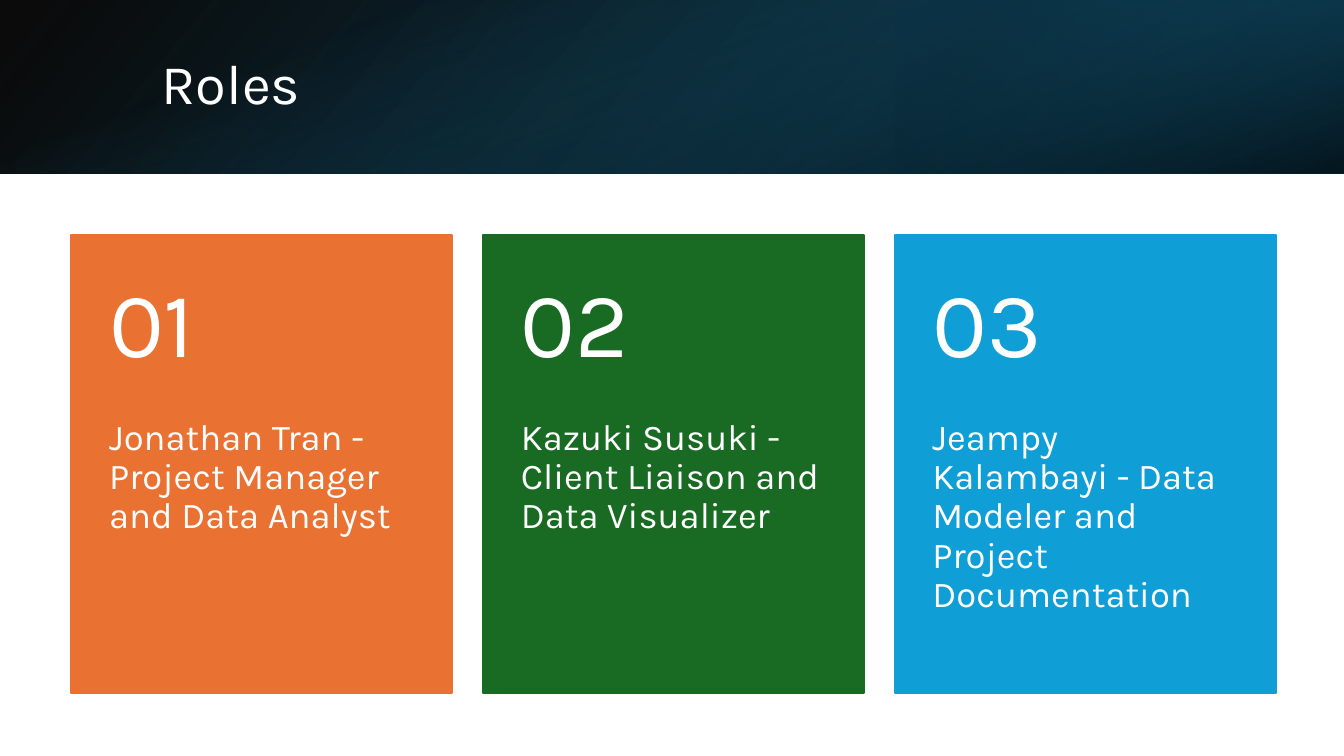
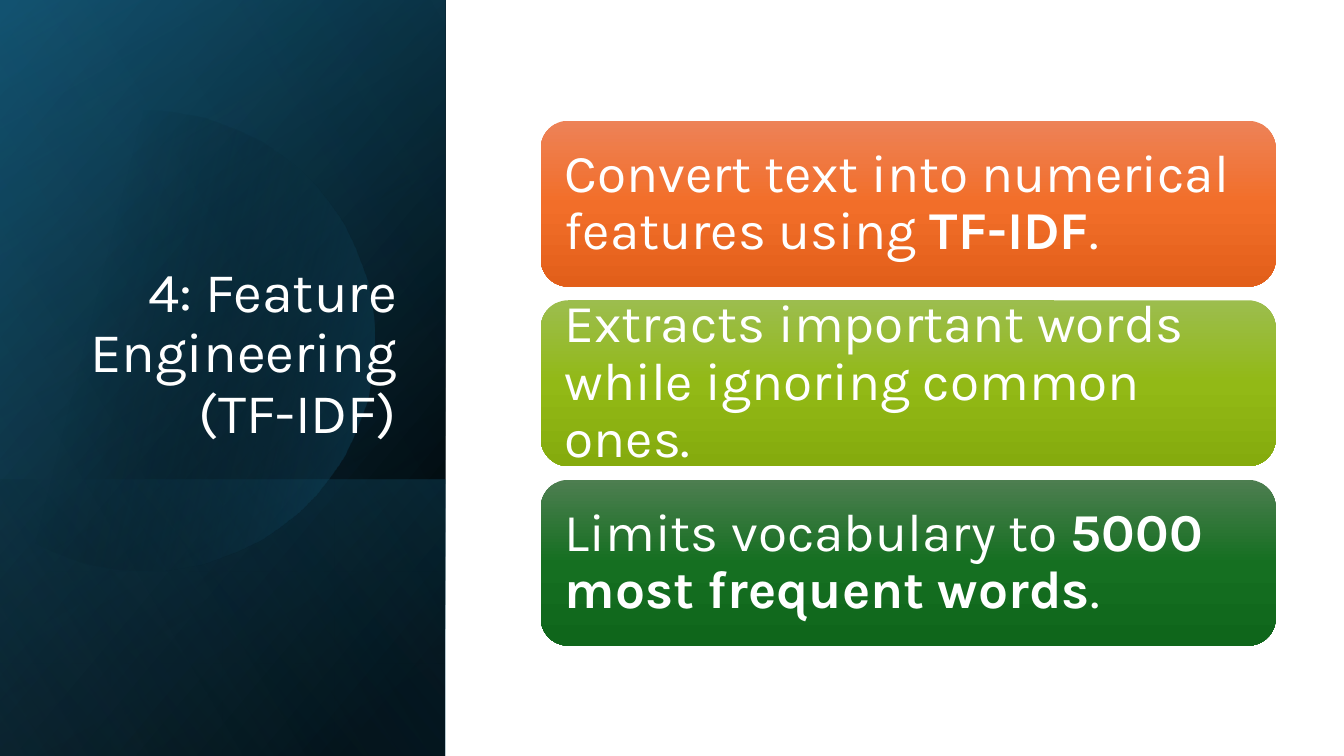
from math import cos, radians, sin

from pptx import Presentation
from pptx.dml.color import RGBColor
from pptx.enum.shapes import MSO_SHAPE
from pptx.enum.text import MSO_ANCHOR, MSO_AUTO_SIZE, PP_ALIGN
from pptx.oxml import parse_xml
from pptx.oxml.ns import nsdecls, qn
from pptx.util import Pt

PX = 9525  # EMU in one px, 96 px to the inch
SLIDE_WIDTH, SLIDE_HEIGHT = 1280, 720
BAND_HEIGHT, SIDEBAR_WIDTH = 165, 424
FONT = "Karla"
TITLE_SIZE = 40

BLACK = RGBColor(0x00, 0x00, 0x00)
WHITE = RGBColor(0xFF, 0xFF, 0xFF)
NAVY = RGBColor(0x10, 0x48, 0x62)
DEEP_TEAL = RGBColor(0x0B, 0x30, 0x41)
TEAL = RGBColor(0x15, 0x60, 0x82)
SKY = RGBColor(0x46, 0xB1, 0xE1)
ORANGE = RGBColor(0xE9, 0x71, 0x32)
GREEN = RGBColor(0x19, 0x6B, 0x24)
BLUE = RGBColor(0x0F, 0x9E, 0xD5)
ORANGE_SHADES = (RGBColor(0xED, 0x82, 0x57), RGBColor(0xF2, 0x6E, 0x29), RGBColor(0xE2, 0x5F, 0x1A))
LIME_SHADES = (RGBColor(0x9C, 0xBD, 0x4E), RGBColor(0x92, 0xB9, 0x16), RGBColor(0x85, 0xAB, 0x0D))
GREEN_SHADES = (RGBColor(0x4D, 0x7E, 0x50), RGBColor(0x15, 0x6F, 0x21), RGBColor(0x0F, 0x66, 0x1B))


def paint_gradient(shape, stops, angle):
    """Fill without outline; stops are (position %, colour, opacity %)."""
    shape.shadow.inherit = False
    shape.line.fill.background()
    shape.fill.background()
    stop_xml = "".join(
        f'<a:gs pos="{position * 1000}"><a:srgbClr val="{color}">'
        f'<a:alpha val="{opacity * 1000}"/></a:srgbClr></a:gs>'
        for position, color, opacity in stops
    )
    gradient = parse_xml(
        f'<a:gradFill {nsdecls("a")} rotWithShape="1"><a:gsLst>{stop_xml}</a:gsLst>'
        f'<a:lin ang="{angle * 60000}" scaled="0"/></a:gradFill>'
    )
    properties = shape._element.spPr
    properties.replace(properties.find(qn("a:noFill")), gradient)


def write_text(shape, runs, size, anchor, insets=(10, 5, 10, 5), alignment=PP_ALIGN.LEFT):
    """Write one white paragraph; runs are (text, bold), insets left, top, right, bottom."""
    frame = shape.text_frame
    frame.word_wrap = True
    frame.auto_size = MSO_AUTO_SIZE.NONE
    frame.vertical_anchor = anchor
    frame.margin_left, frame.margin_top, frame.margin_right, frame.margin_bottom = (
        inset * PX for inset in insets
    )
    paragraph = frame.paragraphs[0]
    paragraph.alignment = alignment
    paragraph.line_spacing = 0.9
    paragraph.font.name = FONT
    paragraph.font.size = Pt(size)
    paragraph.font.color.rgb = WHITE
    for text, bold in runs:
        run = paragraph.add_run()
        run.text = text
        if bold:
            run.font.bold = True


presentation = Presentation()
presentation.slide_width = SLIDE_WIDTH * PX
presentation.slide_height = SLIDE_HEIGHT * PX
title_only = presentation.slide_layouts[5]
roles_slide = presentation.slides.add_slide(title_only)
features_slide = presentation.slides.add_slide(title_only)

# Dark backdrops: slide, box as seen, rotation, flipped, gradient stops, gradient angle
band = (0, 0, SLIDE_WIDTH, BAND_HEIGHT)
band_end = (853, 0, 427, BAND_HEIGHT)
sidebar = (0, 0, SIDEBAR_WIDTH, SLIDE_HEIGHT)
sidebar_foot = (0, 457, SIDEBAR_WIDTH, 263)
backdrops = [
    (roles_slide, band, 0, True, [(0, BLACK, 96), (100, NAVY, 100)], 140),
    (roles_slide, band_end, 180, True, [(19, DEEP_TEAL, 68), (100, TEAL, 79)], 320),
    (roles_slide, band, 90, False, [(23, TEAL, 0), (99, BLACK, 74)], 340),
    (features_slide, sidebar, 90, True, [(8, BLACK, 100), (100, NAVY, 100)], 50),
    (features_slide, sidebar, 90, True, [(0, BLACK, 0), (99, TEAL, 46)], 30),
    (features_slide, sidebar_foot, 90, True, [(2, TEAL, 29), (100, BLACK, 30)], 130),
    (features_slide, sidebar, 90, True, [(0, BLACK, 0), (99, SKY, 11)], 120),
]
for slide, box, rotation, flipped, stops, angle in backdrops:
    left, top, width, height = (length * PX for length in box)
    if rotation == 90:  # the frame before a quarter turn about the same centre
        left, top = left + (width - height) // 2, top + (height - width) // 2
        width, height = height, width
    panel = slide.shapes.add_shape(MSO_SHAPE.RECTANGLE, left, top, width, height)
    panel.rotation = rotation
    if flipped:
        panel._element.spPr.xfrm.set("flipH", "1")
    paint_gradient(panel, stops, angle)

# Glowing disc, cut off at the slide's left edge
center_x, center_y, radius = 138, 324, 219
disc_points = [
    (max(0, center_x + radius * cos(radians(degree))), center_y + radius * sin(radians(degree)))
    for degree in range(0, 360, 3)
]
outline = features_slide.shapes.build_freeform(*disc_points[0], scale=PX)
outline.add_line_segments(disc_points[1:], close=True)
paint_gradient(outline.convert_to_shape(), [(29, BLACK, 0), (100, TEAL, 43)], 14)

# Titles, brought in front of the backdrops
titles = [
    (roles_slide, "Roles", (144, 36, 1054, 92), MSO_ANCHOR.MIDDLE, PP_ALIGN.LEFT),
    (features_slide, "4: Feature Engineering (TF-IDF)", (61, 177, 327, 252),
     MSO_ANCHOR.BOTTOM, PP_ALIGN.RIGHT),
]
for slide, text, box, anchor, alignment in titles:
    title = slide.shapes.title
    title.left, title.top, title.width, title.height = (length * PX for length in box)
    write_text(title, [(text, False)], TITLE_SIZE, anchor, alignment=alignment)
    slide.shapes._spTree.append(title._element)

# Role cards
CARD_LEFT, CARD_TOP, CARD_WIDTH, CARD_HEIGHT, CARD_PITCH = 68, 224, 363, 436, 392
NUMBER_HEIGHT = 175
roles = [
    ("Jonathan Tran - Project Manager and Data Analyst", ORANGE),
    ("Kazuki Susuki - Client Liaison and Data Visualizer", GREEN),
    ("Jeampy Kalambayi - Data Modeler and Project Documentation", BLUE),
]
for index, (role, color) in enumerate(roles):
    left = (CARD_LEFT + index * CARD_PITCH) * PX
    card = roles_slide.shapes.add_shape(
        MSO_SHAPE.RECTANGLE, left, CARD_TOP * PX, CARD_WIDTH * PX, CARD_HEIGHT * PX
    )
    card.shadow.inherit = False
    card.fill.solid()
    card.fill.fore_color.rgb = color
    card.line.color.rgb = color
    card.line.width = Pt(1.5)
    card_texts = [
        (role, CARD_TOP + NUMBER_HEIGHT, CARD_HEIGHT - NUMBER_HEIGHT, 26,
         MSO_ANCHOR.TOP, (36, 0, 36, 35)),
        (f"{index + 1:02}", CARD_TOP, NUMBER_HEIGHT, 66, MSO_ANCHOR.MIDDLE, (36, 17, 36, 17)),
    ]
    for text, top, height, size, anchor, insets in card_texts:
        text_box = roles_slide.shapes.add_textbox(left, top * PX, CARD_WIDTH * PX, height * PX)
        write_text(text_box, [(text, False)], size, anchor, insets)

# Feature steps
STEP_LEFT, STEP_TOP, STEP_WIDTH, STEP_HEIGHT, STEP_PITCH = 515, 115, 700, 158, 171
steps = [
    ([("Convert text into numerical features using ", False), ("TF-IDF", True), (".", False)],
     ORANGE_SHADES),
    ([("Extracts important words while ignoring common ones.", False)], LIME_SHADES),
    ([("Limits vocabulary to ", False), ("5000 most frequent words", True), (".", False)],
     GREEN_SHADES),
]
for index, (runs, shades) in enumerate(steps):
    step = features_slide.shapes.add_shape(
        MSO_SHAPE.ROUNDED_RECTANGLE, STEP_LEFT * PX, (STEP_TOP + index * STEP_PITCH) * PX,
        STEP_WIDTH * PX, STEP_HEIGHT * PX,
    )
    paint_gradient(step, [(position, shade, 100) for position, shade in zip((0, 50, 100), shades)], 90)
    write_text(step, runs, 38, MSO_ANCHOR.MIDDLE, (15, 15, 15, 15))

presentation.save("out.pptx")
